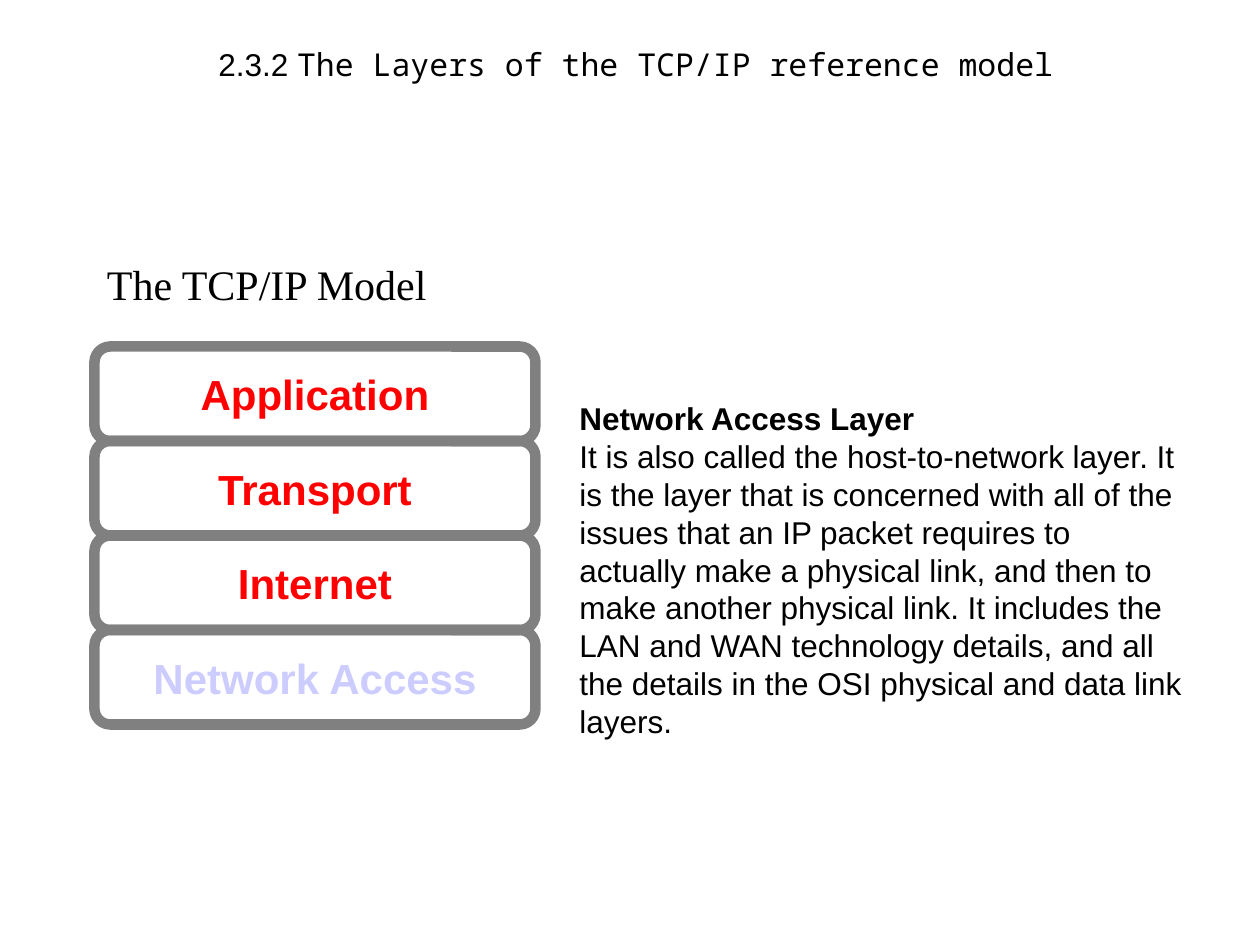
from pptx import Presentation
from pptx.dml.color import RGBColor
from pptx.enum.shapes import MSO_SHAPE
from pptx.enum.text import MSO_ANCHOR, MSO_AUTO_SIZE, PP_ALIGN
from pptx.util import Emu, Pt

EMU_PER_PX = 9144
BLACK = RGBColor(0x00, 0x00, 0x00)
GRAY = RGBColor(0x80, 0x80, 0x80)
RED = RGBColor(0xFF, 0x00, 0x00)
LAVENDER = RGBColor(0xCC, 0xCC, 0xFF)
SANS, MONO, SERIF = "Arial", "Noto Sans Mono", "Times New Roman"

LAYERS = [
    ("Application", RED),
    ("Transport", RED),
    ("Internet", RED),
    ("Network Access", LAVENDER),
]
LAYER_LEFT, LAYER_TOP, LAYER_WIDTH, LAYER_HEIGHT = 75, 275, 350, 75
DESCRIPTION = (
    "It is also called the host-to-network layer. It is the layer that is "
    "concerned with all of the issues that an IP packet requires to actually "
    "make a physical link, and then to make another physical link. It includes "
    "the LAN and WAN technology details, and all the details in the OSI "
    "physical and data link layers."
)


def px(*lengths):
    """Turn pixel lengths into EMU."""
    return [Emu(length * EMU_PER_PX) for length in lengths]


class SlidePainter:
    """Hold the text style and the current slide."""

    def __init__(self, slide, font=SANS, color=BLACK):
        """Remember the slide and the default font and colour."""
        self.slide = slide
        self.font = font
        self.color = color

    def span(self, para, text, size, font=None, color=None, bold=False):
        """Add one formatted run to a paragraph."""
        span = para.add_run()
        span.text = text
        span.font.size = Pt(size)
        span.font.name = font or self.font
        span.font.color.rgb = color or self.color
        span.font.bold = bold

    def title(self, bounds, pieces, size):
        """Place the title, made of pieces of text and font."""
        box = self.slide.shapes.title
        box.left, box.top, box.width, box.height = px(*bounds)
        box.text_frame.vertical_anchor = MSO_ANCHOR.MIDDLE
        para = box.text_frame.paragraphs[0]
        para.alignment = PP_ALIGN.CENTER
        for text, font in pieces:
            self.span(para, text, size, font)

    def text(self, bounds, lines, size, font=None, wrap=True, anchor=MSO_ANCHOR.TOP):
        """Add a text box with one paragraph for each text and bold flag."""
        frame = self.slide.shapes.add_textbox(*px(*bounds)).text_frame
        frame.word_wrap = wrap
        frame.auto_size = MSO_AUTO_SIZE.NONE
        frame.vertical_anchor = anchor
        for index, (text, bold) in enumerate(lines):
            para = frame.add_paragraph() if index else frame.paragraphs[0]
            self.span(para, text, size, font, bold=bold)

    def layer(self, bounds, text, color):
        """Add one outlined layer of the model."""
        box = self.slide.shapes.add_shape(MSO_SHAPE.ROUNDED_RECTANGLE, *px(*bounds))
        box.shadow.inherit = False
        box.fill.background()
        box.line.color.rgb = GRAY
        box.line.width = Pt(6)
        frame = box.text_frame
        frame.word_wrap = False
        frame.vertical_anchor = MSO_ANCHOR.MIDDLE
        para = frame.paragraphs[0]
        para.alignment = PP_ALIGN.CENTER
        self.span(para, text, 24, color=color, bold=True)


def main():
    """Build the slide and save the deck."""
    deck = Presentation()
    deck.slide_width, deck.slide_height = px(1000, 750)
    page = SlidePainter(deck.slides.add_slide(deck.slide_layouts[5]))
    page.title(
        (42, 17, 925, 67),
        [("2.3.2 ", SANS), ("The Layers of the TCP/IP reference model", MONO)],
        18,
    )
    page.text((75, 200, 378, 42), [("The TCP/IP Model", False)], 24, SERIF, wrap=False)
    for row, (name, color) in enumerate(LAYERS):
        top = LAYER_TOP + row * LAYER_HEIGHT
        page.layer((LAYER_LEFT, top, LAYER_WIDTH, LAYER_HEIGHT), name, color)
    page.text(
        (450, 282, 500, 310),
        [("Network Access Layer", True), (DESCRIPTION, False)],
        18,
        anchor=MSO_ANCHOR.BOTTOM,
    )
    deck.save("out.pptx")


if __name__ == "__main__":
    main()
